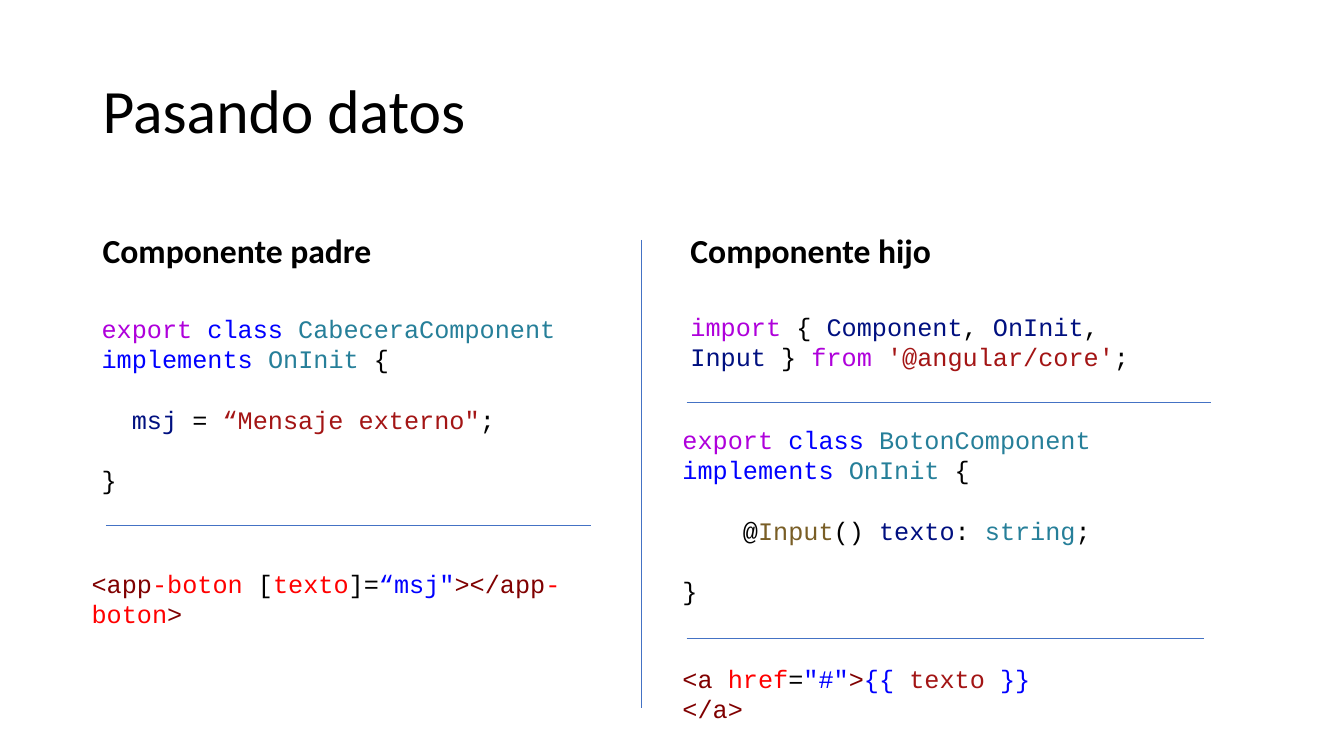
"""Build the slide on passing data from a parent component to a child."""
from pptx import Presentation
from pptx import util as u
from pptx.dml.color import RGBColor
from pptx.enum import shapes, text
from pptx.oxml.ns import qn
from lxml import etree

INK = {"black": "000000", "purple": "AF00DB", "blue": "0000FF", "teal": "267F99",
       "navy": "001080", "brick": "A31515", "maroon": "800000", "red": "FF0000",
       "ochre": "795E26", "rule": "4472C4"}

TITLE = {"name": "Calibri", "size": u.Pt(44)}
HEADING = {"name": "Calibri", "size": u.Pt(24), "bold": True}
CODE = {"name": "Courier New", "size": u.Pt(18)}
CHAR_WIDTH = 0.15
BLANK_LINE = u.Pt(21.6)

MIDDLE, BOTTOM = text.MSO_ANCHOR.MIDDLE, text.MSO_ANCHOR.BOTTOM
HEADINGS = [
    ("Pasando datos", (0.92, 0.4, 11.5, 1.45), TITLE, MIDDLE),
    ("Componente padre", (0.92, 1.84, 5.64, 0.9), HEADING, BOTTOM),
    ("Componente hijo", (6.75, 1.84, 5.67, 0.9), HEADING, BOTTOM),
]


def class_header(name):
    """Return the coloured opening of a component class."""
    return [("export ", "purple"), ("class ", "blue"), (name + " ", "teal"),
            ("implements ", "blue"), ("OnInit", "teal"), (" {", "black")]


CLOSING = (0, [("}", "black")])
LISTINGS = [
    ((0.91, 3.06, 5.64, 2.22), [
        (0, class_header("CabeceraComponent")),
        (2, [("msj", "navy"), (" = ", "black"), ("“Mensaje externo\"", "brick"),
             (";", "black")]),
        CLOSING]),
    ((0.81, 5.59, 5.33, 0.71), [
        (0, [("<app", "maroon"), ("-boton", "red"), (" [", "black"), ("texto", "red"),
             ("]=", "black"), ("“msj\"", "blue"), ("></app", "maroon"),
             ("-boton", "red"), (">", "maroon")])]),
    ((6.75, 3.04, 5.43, 0.71), [
        (0, [("import", "purple"), (" { ", "black"), ("Component", "navy"),
             (", ", "black"), ("OnInit", "navy"), (", ", "black"), ("Input", "navy"),
             (" } ", "black"), ("from ", "purple"), ("'@angular/core'", "brick"),
             (";", "black")])]),
    ((6.67, 4.16, 5.33, 1.92), [
        (0, class_header("BotonComponent")),
        (4, [("@", "black"), ("Input", "ochre"), ("() ", "black"), ("texto", "navy"),
             (": ", "black"), ("string", "teal"), (";", "black")]),
        CLOSING]),
    ((6.67, 6.53, 3.94, 0.71), [
        (0, [("<a ", "maroon"), ("href", "red"), ("=", "black"), ("\"#\"", "blue"),
             (">", "maroon"), ("{{ ", "blue"), ("texto", "brick"), (" }}", "blue"),
             ("</a>", "maroon")])]),
]

RULES = [(1.05, 5.21, 5.86, 5.21), (6.81, 3.99, 12.01, 3.99),
         (6.36, 2.38, 6.36, 7.02), (6.81, 6.33, 11.94, 6.33)]


def colour(ink):
    """Turn an ink name into a colour."""
    return RGBColor.from_string(INK[ink])


def add_frame(page, place, anchor=text.MSO_ANCHOR.TOP):
    """Add a wrapping text box and return its text frame."""
    frame = page.shapes.add_textbox(*map(u.Inches, place)).text_frame
    frame.word_wrap = True
    frame.vertical_anchor = anchor
    return frame


def add_span(para, words, ink, style):
    """Add one run in the given ink and style."""
    span = para.add_run()
    span.text = words
    for name, value in style.items():
        setattr(span.font, name, value)
    span.font.color.rgb = colour(ink)


def add_heading(page, words, place, style, anchor):
    """Add a one-line heading."""
    para = add_frame(page, place, anchor).paragraphs[0]
    para.line_spacing = 0.9
    add_span(para, words, "black", style)


def add_listing(page, place, lines):
    """Add a code listing with a line's gap between statements."""
    frame = add_frame(page, place)
    for number, (indent, spans) in enumerate(lines):
        para = frame.add_paragraph() if number else frame.paragraphs[0]
        if number:
            para.space_before = BLANK_LINE
        if indent:
            margin = u.Inches(indent * CHAR_WIDTH)
            para._p.get_or_add_pPr().set("marL", str(margin))
        for words, ink in spans:
            add_span(para, words, ink, CODE)


def add_rule(page, ends):
    """Add a thin straight line."""
    rule = page.shapes.add_connector(shapes.MSO_CONNECTOR.STRAIGHT, *map(u.Inches, ends))
    rule.line.width = u.Pt(0.5)
    rule.line.color.rgb = colour("rule")
    etree.SubElement(rule._element.spPr, qn("a:effectLst"))


def main():
    """Lay out the slide and save it."""
    deck = Presentation()
    deck.slide_width, deck.slide_height = u.Inches(13.33), u.Inches(7.5)
    page = deck.slides.add_slide(deck.slide_layouts[6])
    for heading in HEADINGS:
        add_heading(page, *heading)
    for listing in LISTINGS:
        add_listing(page, *listing)
    for ends in RULES:
        add_rule(page, ends)
    deck.save("out.pptx")


if __name__ == "__main__":
    main()
